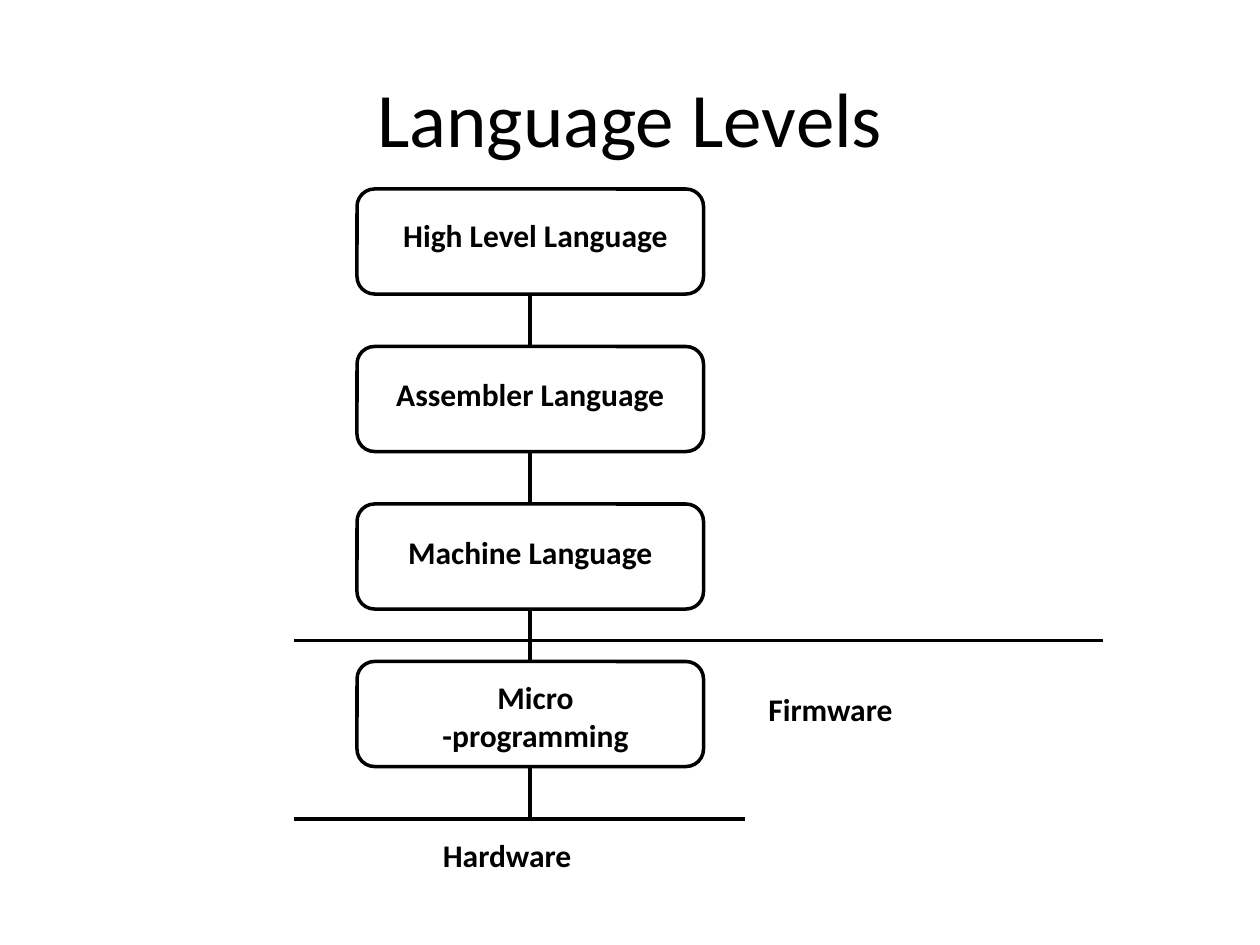
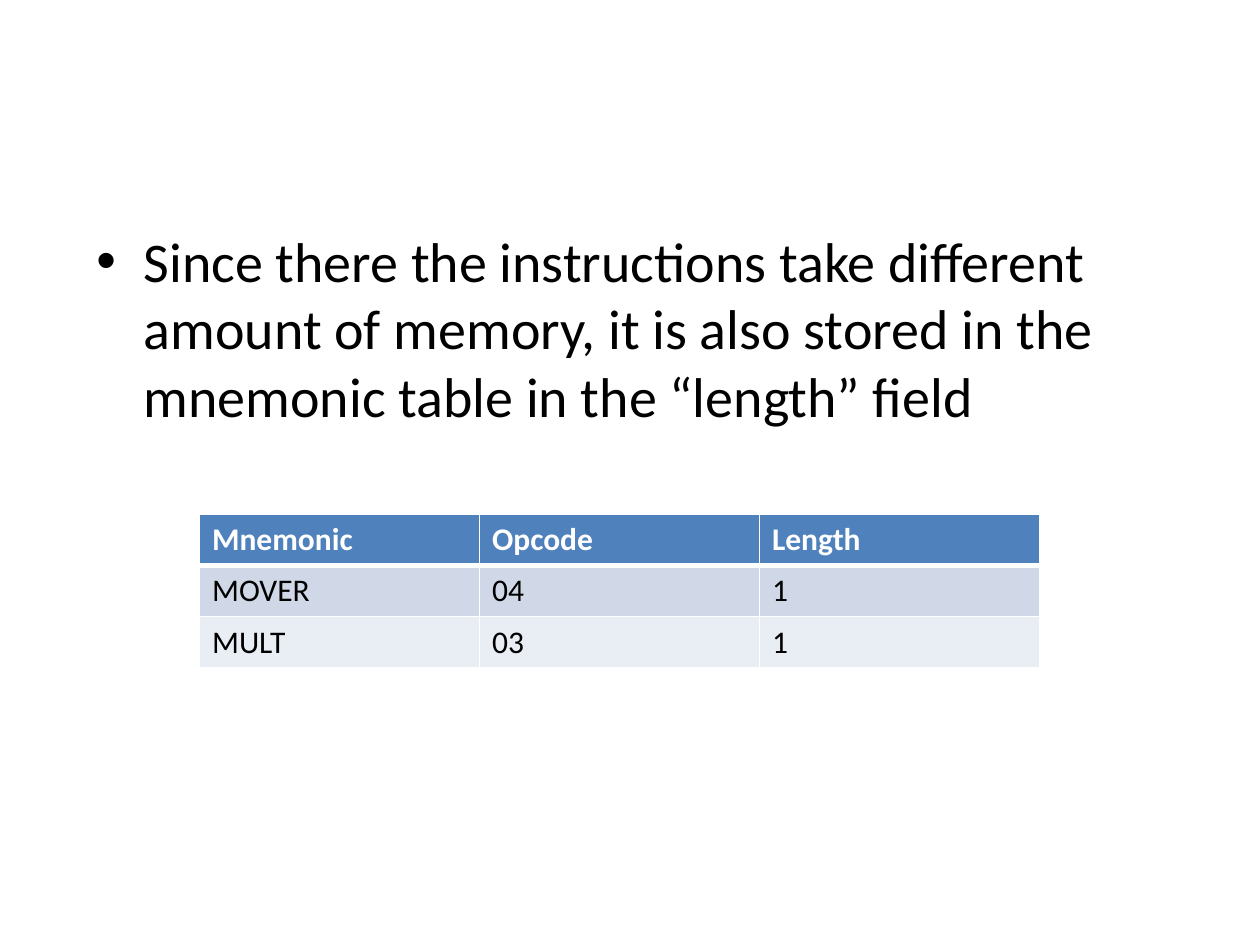
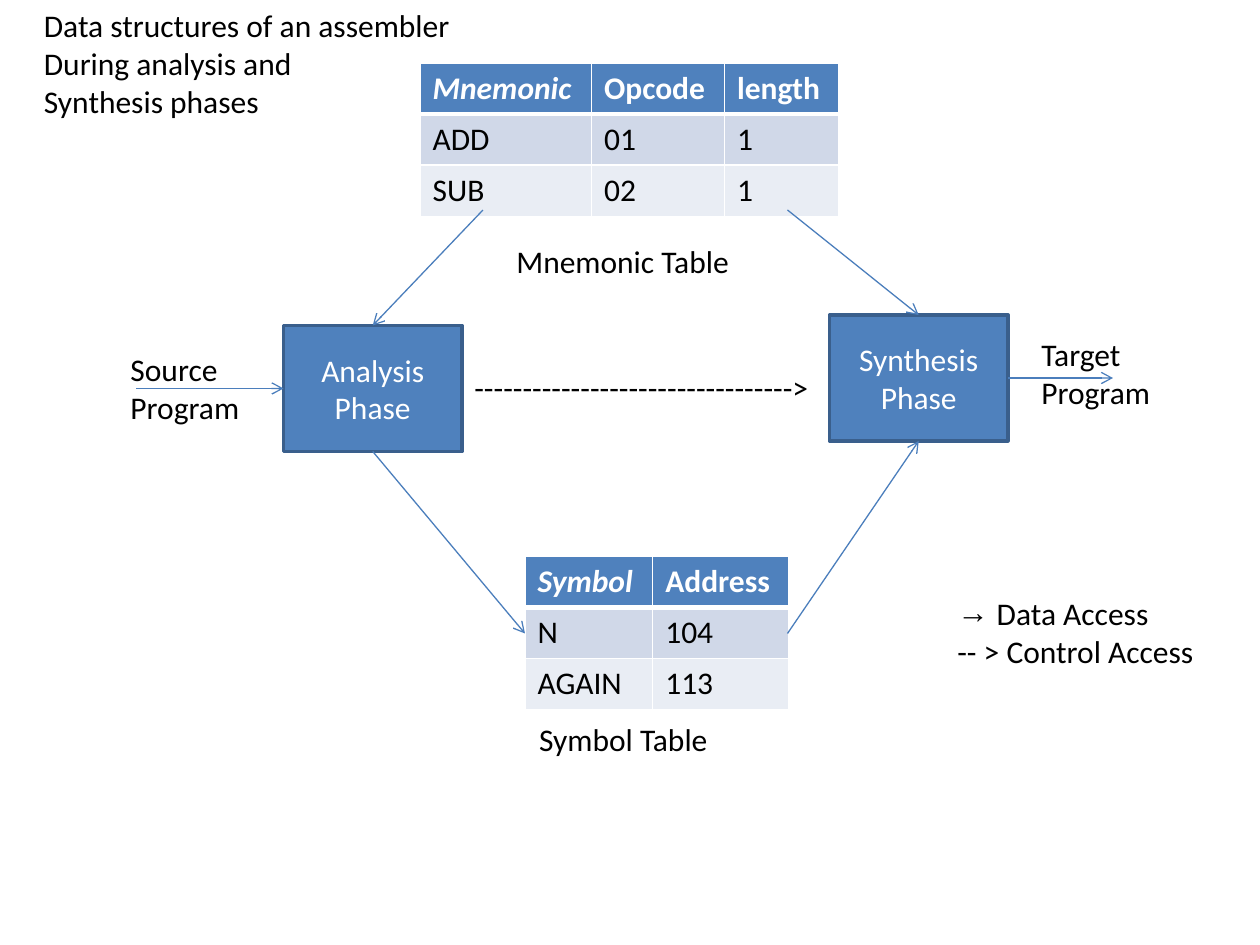
from pptx import Presentation
from pptx.dml.color import RGBColor
from pptx.enum.shapes import MSO_CONNECTOR, MSO_SHAPE
from pptx.enum.text import MSO_ANCHOR, PP_ALIGN
from pptx.oxml.ns import qn
from pptx.util import Pt
from lxml.etree import SubElement

FONT = "Calibri"
BLACK, WHITE, BLUE = "000000", "FFFFFF", "4F81BD"
BOX_EDGE, ARROW = "3A5F8C", "4B7EBC"
ROW_FILLS = [BLUE, "D0D8E8", "E9EDF4"]
ROW_HEIGHT = 29.2
TOP, LEFT, BOTTOM, RIGHT = range(4)

TITLE = "Language Levels"
LEVELS = [
    ("High Level Language", (204, 120, 204, 29)),
    ("Assembler Language", (204, 211, 198, 29)),
    ("Machine Language", (204, 301, 198, 29)),
    ("Micro -programming", (222, 384, 168, 50)),
]
LEVEL_LEFT, LEVEL_TOP, LEVEL_WIDTH, LEVEL_HEIGHT, LEVEL_STEP = 204, 108, 198, 60, 90
HARDWARE_LINE = 468
DIVIDERS = [((168, 366), (630, 366)), ((168, HARDWARE_LINE), (426, HARDWARE_LINE))]
SIDE_LABELS = [("Hardware", (246, 474, 126, 29)), ("Firmware", (432, 391, 126, 29))]

LENGTH_NOTE = (
    "Since there the instructions take different amount of memory, "
    "it is also stored in the mnemonic table in the “length” field"
)
LENGTH_ROWS = [["Mnemonic", "Opcode", "Length"], ["MOVER", "04", "1"], ["MULT", "03", "1"]]

MNEMONIC_ROWS = [["Mnemonic", "Opcode", "length"], ["ADD", "01", "1"], ["SUB", "02", "1"]]
SYMBOL_ROWS = [["Symbol", "Address"], ["N", "104"], ["AGAIN", "113"]]
PHASES = {
    "analysis": (["Analysis Phase"], (162, 186, 102, 72)),
    "synthesis": (["Synthesis", "Phase"], (474, 180, 102, 72)),
}
FLOWS_IN = [
    ((78, 222), "analysis", LEFT),
    ((276, 120), "analysis", TOP),
    ((450, 120), "synthesis", TOP),
    ((450, 362), "synthesis", BOTTOM),
]
FLOWS_OUT = [("analysis", BOTTOM, (300, 362)), ("synthesis", RIGHT, (636, 216))]
CAPTIONS = [
    (["Source", "Program"], (67.5, 196.5, 81, 51)),
    (["Mnemonic Table"], (288, 135, 150, 29)),
    (["Symbol Table"], (301, 408, 150, 29)),
    (["Target", "Program"], (588, 188, 81, 51)),
    (["--------------------------------->"], (264, 207, 210, 29)),
    (["Data structures of an assembler", "During analysis and", "Synthesis phases"],
     (18, 0, 372, 72.7)),
]
LEGEND = ["Data Access", "-- > Control Access"]


def color(value):
    return RGBColor.from_string(value)


def points(values):
    return [Pt(value) for value in values]


def write(frame, lines, size=18, fill=BLACK, bold=False, italic=False, align=PP_ALIGN.LEFT):
    frame.word_wrap = True
    for index, line in enumerate(lines):
        paragraph = frame.add_paragraph() if index else frame.paragraphs[0]
        paragraph.alignment = align
        run = paragraph.add_run()
        run.text = line
        font = run.font
        font.name, font.size, font.bold, font.italic = FONT, Pt(size), bold, italic
        font.color.rgb = color(fill)


def add_text(slide, lines, place, anchor=MSO_ANCHOR.TOP, **style):
    frame = slide.shapes.add_textbox(*points(place)).text_frame
    frame.vertical_anchor = anchor
    write(frame, lines, **style)
    return frame


def add_bullet(paragraph, mark, indent):
    properties = paragraph._p.get_or_add_pPr()
    properties.set("marL", str(Pt(indent)))
    properties.set("indent", str(-Pt(indent)))
    SubElement(properties, qn("a:buFont"), typeface="Arial")
    SubElement(properties, qn("a:buChar"), char=mark)


def add_box(slide, kind, place, edge, fill=None):
    shape = slide.shapes.add_shape(kind, *points(place))
    shape.shadow.inherit = False
    if fill:
        shape.fill.solid()
        shape.fill.fore_color.rgb = color(fill)
    else:
        shape.fill.background()
    shape.line.color.rgb = color(edge)
    shape.line.width = Pt(2)
    return shape


def add_line(slide, start=(0, 0), end=(0, 0), source=None, target=None, arrow=False):
    connector = slide.shapes.add_connector(MSO_CONNECTOR.STRAIGHT, *points(start + end))
    if source:
        connector.begin_connect(*source)
    if target:
        connector.end_connect(*target)
    connector.line.color.rgb = color(ARROW if arrow else BLACK)
    connector.line.width = Pt(0.75 if arrow else 2)
    if arrow:
        SubElement(connector.line._get_or_add_ln(), qn("a:tailEnd"), type="arrow")
    SubElement(connector._element.spPr, qn("a:effectLst"))


def add_border(cell, side, width):
    line = SubElement(cell._tc.get_or_add_tcPr(), qn("a:ln" + side), w=str(Pt(width)))
    SubElement(SubElement(line, qn("a:solidFill")), qn("a:srgbClr"), val=WHITE)


def add_grid(slide, rows, left, top, widths, italic_key=False):
    place = points((left, top, sum(widths), ROW_HEIGHT * len(rows)))
    table = slide.shapes.add_table(len(rows), len(widths), *place).table
    for column, width in zip(table.columns, widths):
        column.width = Pt(width)
    for y, row in enumerate(rows):
        table.rows[y].height = Pt(ROW_HEIGHT)
        header = y == 0
        for x, value in enumerate(row):
            cell = table.cell(y, x)
            for side in "LRTB":
                under_header = (y, side) in [(0, "B"), (1, "T")]
                add_border(cell, side, 3 if under_header else 1)
            cell.fill.solid()
            cell.fill.fore_color.rgb = color(ROW_FILLS[y])
            write(cell.text_frame, [value], fill=WHITE if header else BLACK,
                  bold=header, italic=header and italic_key and x == 0)


def build_levels(slide):
    add_text(slide, [TITLE], (36, 21.6, 648, 90), MSO_ANCHOR.MIDDLE,
             size=44, align=PP_ALIGN.CENTER)
    previous = None
    for index, (name, label_place) in enumerate(LEVELS):
        place = (LEVEL_LEFT, LEVEL_TOP + index * LEVEL_STEP, LEVEL_WIDTH, LEVEL_HEIGHT)
        box = add_box(slide, MSO_SHAPE.ROUNDED_RECTANGLE, place, BLACK)
        add_text(slide, [name], label_place, bold=True, align=PP_ALIGN.CENTER)
        if previous:
            add_line(slide, source=(previous, BOTTOM), target=(box, TOP))
        previous = box
    center = LEVEL_LEFT + LEVEL_WIDTH / 2
    add_line(slide, end=(center, HARDWARE_LINE), source=(previous, BOTTOM))
    for start, end in DIVIDERS:
        add_line(slide, start, end)
    for name, place in SIDE_LABELS:
        add_text(slide, [name], place, bold=True)


def build_length_field(slide):
    frame = add_text(slide, [LENGTH_NOTE], (48, 126, 642, 180), size=32)
    add_bullet(frame.paragraphs[0], "•", 27)
    add_grid(slide, LENGTH_ROWS, 114, 294, [160] * 3)


def build_data_structures(slide):
    add_grid(slide, MNEMONIC_ROWS, 240, 36, [98, 76, 65.5], italic_key=True)
    add_grid(slide, SYMBOL_ROWS, 300, 318, [73, 78], italic_key=True)
    boxes = {}
    for name, (lines, place) in PHASES.items():
        boxes[name] = add_box(slide, MSO_SHAPE.RECTANGLE, place, BOX_EDGE, BLUE)
        boxes[name].text_frame.vertical_anchor = MSO_ANCHOR.MIDDLE
        write(boxes[name].text_frame, lines, fill=WHITE, align=PP_ALIGN.CENTER)
    for start, name, side in FLOWS_IN:
        add_line(slide, start=start, target=(boxes[name], side), arrow=True)
    for name, side, end in FLOWS_OUT:
        add_line(slide, end=end, source=(boxes[name], side), arrow=True)
    for lines, place in CAPTIONS:
        add_text(slide, lines, place)
    legend = add_text(slide, LEGEND, (540, 336, 150, 51))
    add_bullet(legend.paragraphs[0], "→", 22.5)


def main():
    presentation = Presentation()
    presentation.slide_width, presentation.slide_height = Pt(720), Pt(540)
    for build in (build_levels, build_length_field, build_data_structures):
        build(presentation.slides.add_slide(presentation.slide_layouts[6]))
    presentation.save("out.pptx")


if __name__ == "__main__":
    main()
